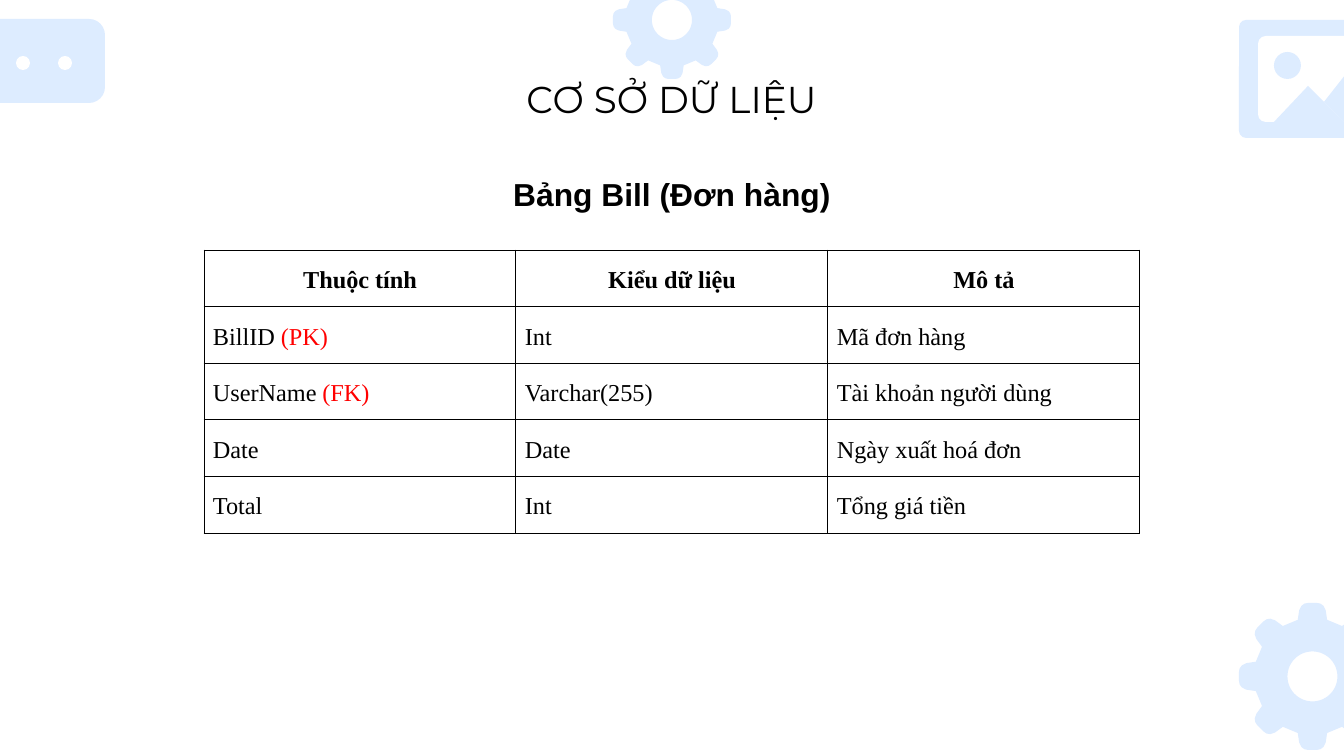
from math import cos, pi, sin

from lxml.etree import SubElement
from pptx import Presentation
from pptx.dml.color import RGBColor as RGB
from pptx.enum.shapes import MSO_SHAPE as SHAPE
from pptx.enum.text import MSO_ANCHOR as ANCHOR, MSO_AUTO_SIZE as FIT, PP_ALIGN as ALIGN
from pptx.oxml.ns import qn
from pptx.util import Pt

PX = 914400 / 134.4
COLORS = {"pale": "DDECFF", "white": "FFFFFF", "text": "000000", "key": "FF0000"}
TITLE = {"name": "Montserrat", "size": Pt(20), "bold": False}
SUBTITLE = {"name": "Arial", "size": Pt(17), "bold": True}
HEADER = {"name": "Times New Roman", "size": Pt(13), "bold": True}
BODY = {**HEADER, "bold": False}
TOOTH = [(0.77, -0.2), (0.9, -0.18), (0.96, -0.15), (0.99, -0.11), (1, -0.06),
         (1, 0.06), (0.99, 0.11), (0.96, 0.15), (0.9, 0.18), (0.77, 0.2)]
ROWS = [
    [["Thuộc tính"], ["Kiểu dữ liệu"], ["Mô tả"]],
    [["BillID ", "(PK)"], ["Int"], ["Mã đơn hàng"]],
    [["UserName ", "(FK)"], ["Varchar(255)"], ["Tài khoản người dùng"]],
    [["Date"], ["Date"], ["Ngày xuất hoá đơn"]],
    [["Total"], ["Int"], ["Tổng giá tiền"]],
]


def px(n):
    """Turn pixels into EMU."""
    return round(n * PX)


def set_all(obj, values):
    """Set each attribute named in a dict."""
    for name, value in values.items():
        setattr(obj, name, value)


def paint(sp, color):
    """Give a shape a flat fill without line or shadow."""
    sp.shadow.inherit = False
    sp.fill.solid()
    sp.fill.fore_color.rgb = RGB.from_string(COLORS[color])
    sp.line.fill.background()


def add_preset(s, kind, box, color, radius=None):
    """Add a preset shape, with an optional corner ratio."""
    sp = s.shapes.add_shape(kind, *map(px, box))
    if radius is not None:
        sp.adjustments[0] = radius
    paint(sp, color)


def add_outline(s, contours, color):
    """Add one freeform made of closed contours."""
    contours = [[(px(x), px(y)) for x, y in c] for c in contours]
    fb = s.shapes.build_freeform(*contours[0][0], scale=1.0)
    fb.add_line_segments(contours[0][1:])
    for start, *rest in contours[1:]:
        fb.move_to(*start)
        fb.add_line_segments(rest)
    paint(fb.convert_to_shape(), color)


def add_gear(s, x, y, size):
    """Draw an eight-toothed gear with a round hole."""
    r = size / 2
    cx, cy = x + r, y + r
    angles = [k * pi / 4 for k in range(8)]
    rim = [(cx + r * (u * cos(a) - v * sin(a)), cy + r * (u * sin(a) + v * cos(a)))
           for a in angles for u, v in TOOTH]
    hole = [(cx + 0.34 * r * cos(k * pi / 30), cy - 0.34 * r * sin(k * pi / 30))
            for k in range(60)]
    add_outline(s, [rim, hole], "pale")


def add_bubble(s, x, y, w, h):
    """Draw a speech bubble with two dots."""
    add_preset(s, SHAPE.ROUNDED_RECTANGLE, (x, y, w, h), "pale", 0.19)
    for dx in (75, 117):
        add_preset(s, SHAPE.OVAL, (x + dx, y + 37, 14, 14), "white")


def add_photo(s, x, y, w, h):
    """Draw a framed landscape icon."""
    add_preset(s, SHAPE.ROUNDED_RECTANGLE, (x, y, w, h), "pale", 0.06)
    add_preset(s, SHAPE.ROUNDED_RECTANGLE, (x + 19, y + 16, w - 36, h - 32), "white", 0.09)
    peaks = [
        [(85, 82), (118, 40), (147, 78), (147, 102), (105, 102)],
        [(35, 102), (69, 66), (85, 82), (105, 102)],
    ]
    for peak in peaks:
        add_outline(s, [[(x + dx, y + dy) for dx, dy in peak]], "pale")
    add_preset(s, SHAPE.OVAL, (x + 35, y + 32, 27, 27), "pale")


def write(p, parts, font, **spacing):
    """Fill a paragraph, with any second part in the key colour."""
    set_all(p, spacing)
    for part, color in zip(parts, ("text", "key")):
        r = p.add_run()
        r.text = part
        set_all(r.font, font)
        r.font.color.rgb = RGB.from_string(COLORS[color])


def add_heading(sp, box, text, font, anchor, **spacing):
    """Place a text shape and write its centred line."""
    set_all(sp, dict(zip(("left", "top", "width", "height"), map(px, box))))
    tf = sp.text_frame
    set_all(tf, {"word_wrap": True, "auto_size": FIT.NONE, "vertical_anchor": anchor})
    set_all(tf, {f"margin_{side}": px(13) for side in ("left", "right", "top", "bottom")})
    write(tf.paragraphs[0], [text], font, alignment=ALIGN.CENTER, **spacing)


def add_borders(cell):
    """Rule all four sides of a cell."""
    tcPr = cell._tc.get_or_add_tcPr()
    for i, side in enumerate(("lnL", "lnR", "lnT", "lnB")):
        ln = SubElement(tcPr, qn(f"a:{side}"), w=str(Pt(0.6)))
        SubElement(SubElement(ln, qn("a:solidFill")), qn("a:srgbClr"), val=COLORS["text"])
        tcPr.insert(i, ln)


def add_fields(s, x, y, w, row_h):
    """Add the table of database fields."""
    n = len(ROWS[0])
    tbl = s.shapes.add_table(len(ROWS), n, px(x), px(y), px(w), px(row_h * len(ROWS))).table
    set_all(tbl, {"first_row": False, "horz_banding": False})
    margins = {"margin_left": px(9), "margin_right": px(9),
               "margin_top": px(13), "margin_bottom": px(13)}
    for i, row in enumerate(ROWS):
        font, align = (BODY, ALIGN.LEFT) if i else (HEADER, ALIGN.CENTER)
        for j, parts in enumerate(row):
            cell = tbl.cell(i, j)
            set_all(cell, margins)
            cell.fill.background()
            add_borders(cell)
            write(cell.text_frame.paragraphs[0], parts, font, alignment=align,
                  line_spacing=1.15, space_before=Pt(12))


def main():
    """Build and save the slide."""
    prs = Presentation()
    set_all(prs, {"slide_width": px(1344), "slide_height": px(756)})
    s = prs.slides.add_slide(prs.slide_layouts[5])
    add_gear(s, 1239, 603, 147)
    add_gear(s, 613, -39, 118)
    add_bubble(s, -59, 19, 164, 84)
    add_photo(s, 1239, 20, 164, 118)
    add_heading(s.shapes.title, (188, 63, 967, 79), "CƠ SỞ DỮ LIỆU", TITLE, ANCHOR.TOP)
    add_heading(s.shapes.add_textbox(0, 0, 0, 0), (468, 159, 408, 63), "Bảng Bill (Đơn hàng)",
                SUBTITLE, ANCHOR.MIDDLE, line_spacing=1.15,
                space_before=Pt(18), space_after=Pt(4))
    add_fields(s, 204, 250, 936, 40)
    prs.save("out.pptx")


if __name__ == "__main__":
    main()
